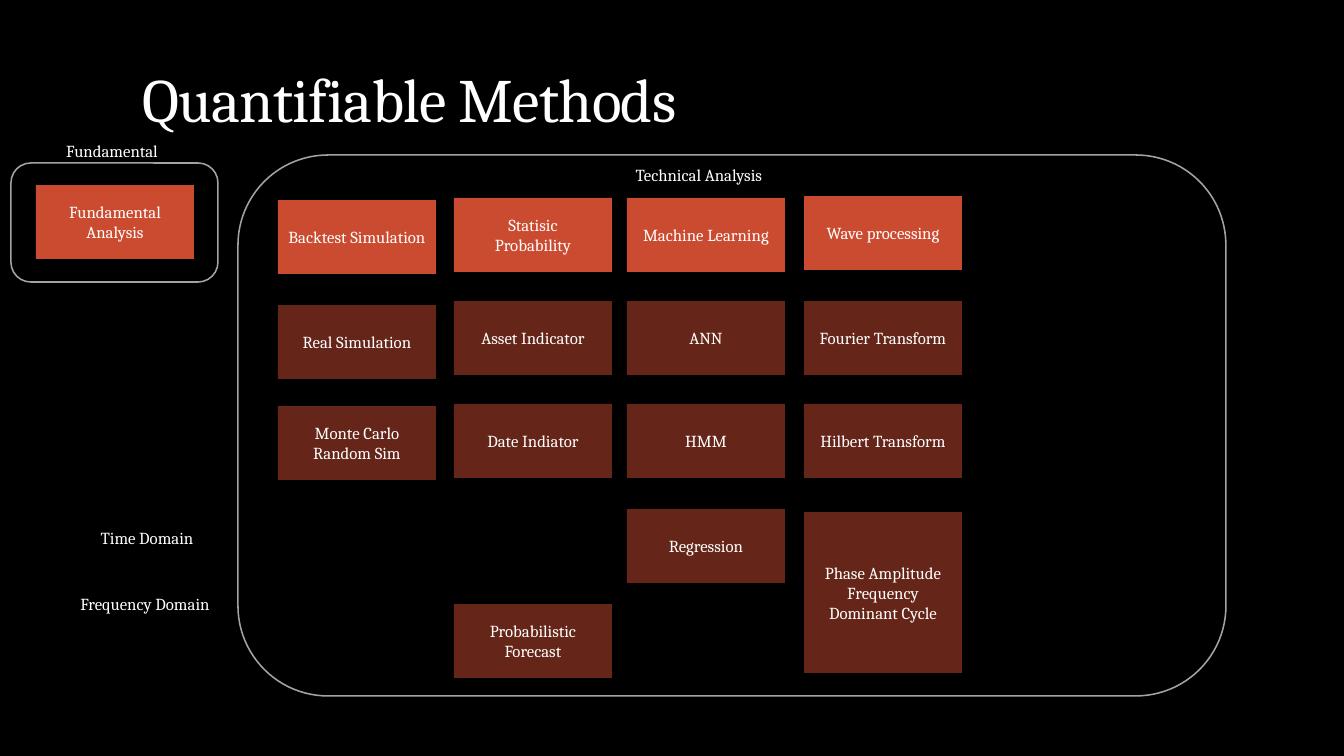
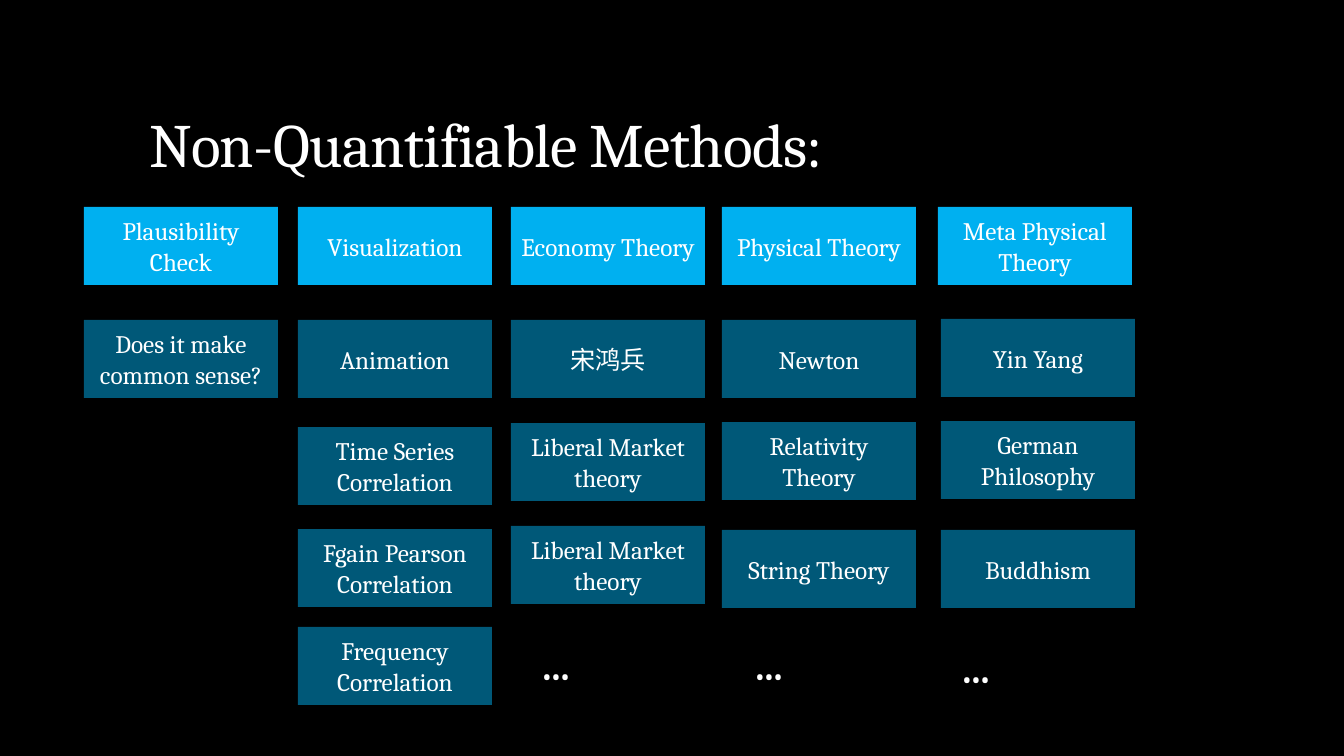
"""Build two slides that chart quantifiable and non-quantifiable methods."""
from dataclasses import dataclass

from lxml import etree
from pptx import Presentation
from pptx import util as u
from pptx.dml.color import RGBColor
from pptx.enum import shapes, text
from pptx.oxml.ns import qn


@dataclass(frozen=True)
class Theme:
    font: str = "Cambria"
    back: RGBColor = RGBColor(0, 0, 0)
    ink: RGBColor = RGBColor(255, 255, 255)
    frame: RGBColor = RGBColor(0xA3, 0xA3, 0xA3)
    red: RGBColor = RGBColor(0xCB, 0x4B, 0x30)
    blue: RGBColor = RGBColor(0x00, 0xB0, 0xF0)
    title: int = 44
    dots: int = 28
    large: int = 18
    small: int = 12


theme = Theme()
SCALE = 914400 / 100.8
CENTER, LEFT = text.PP_ALIGN.CENTER, text.PP_ALIGN.LEFT
MIDDLE, BOTTOM, TOP = (text.MSO_ANCHOR.MIDDLE, text.MSO_ANCHOR.BOTTOM,
                       text.MSO_ANCHOR.TOP)


def place(*pixels):
    return [u.Emu(round(pixel * SCALE)) for pixel in pixels]


def write(box, words, size, align=CENTER, anchor=MIDDLE, bold=False):
    frame = box.text_frame
    frame.word_wrap = True
    frame.auto_size = text.MSO_AUTO_SIZE.NONE
    frame.vertical_anchor = anchor
    for index, line in enumerate(words.split("\n")):
        para = frame.add_paragraph() if index else frame.paragraphs[0]
        para.alignment = align
        span = para.add_run()
        span.text = line
        span.font.name = theme.font
        span.font.size = u.Pt(size)
        span.font.bold = bold
        span.font.color.rgb = theme.ink
    return para


quantifiable = {
    "title": ("Quantifiable Methods", 132, -5),
    "color": theme.red, "size": theme.small, "cell": (158, 74),
    "headers": [
        (36, 185, "Fundamental Analysis"),
        (278, 200, "Backtest Simulation"),
        (454, 198, "Statisic\nProbability"),
        (627, 198, "Machine Learning"),
        (804, 196, "Wave processing"),
    ],
    "columns": {
        278: [(305, "Real Simulation"), (406, "Monte Carlo Random Sim")],
        454: [(301, "Asset Indicator"), (404, "Date Indiator"),
              (604, "Probabilistic Forecast")],
        627: [(301, "ANN"), (404, "HMM"), (509, "Regression")],
        804: [(301, "Fourier Transform"), (404, "Hilbert Transform"),
              (512, "Phase Amplitude\nFrequency Dominant Cycle", 161)],
    },
    "frames": [(11, 163, 207, 119), (238, 155, 988, 541)],
    "labels": [
        (21, 136, 182, "Fundamental"),
        (467, 160, 464, "Technical Analysis"),
        (-85, 523, 464, "Time Domain"),
        (-87, 589, 464, "Frequency Domain"),
    ],
    "dots": [],
}
non_quantifiable = {
    "title": ("Non-Quantifiable Methods:", 139, 40),
    "color": theme.blue, "size": theme.large, "cell": (194, 78),
    "headers": [
        (84, 207, "Plausibility Check"),
        (298, 207, "Visualization"),
        (511, 207, "Economy Theory"),
        (722, 207, "Physical Theory"),
        (938, 207, "Meta Physical\nTheory"),
    ],
    "columns": {
        84: [(320, "Does it make common sense?")],
        298: [(320, "Animation"), (427, "Time Series Correlation"),
              (529, "Fgain Pearson Correlation"),
              (627, "Frequency Correlation")],
        511: [(320, "宋鸿兵"), (423, "Liberal Market theory"),
              (526, "Liberal Market theory")],
        722: [(320, "Newton"), (422, "Relativity Theory"),
              (530, "String Theory")],
        941: [(319, "Yin Yang"), (421, "German Philosophy"),
              (530, "Buddhism")],
    },
    "frames": [],
    "labels": [],
    "dots": [(531, 636), (744, 636), (951, 639)],
}

deck = Presentation()
deck.slide_width, deck.slide_height = place(1344, 756)
backdrop = deck.slide_master.background.fill
backdrop.solid()
backdrop.fore_color.rgb = theme.back

for topic in (quantifiable, non_quantifiable):
    page = deck.slides.add_slide(deck.slide_layouts[5])
    heading, left, top = topic["title"]
    title = page.shapes.title
    title.left, title.top, title.width, title.height = place(left, top, 1069, 146)
    para = write(title, heading, theme.title, LEFT, BOTTOM)
    para.line_spacing = 0.9
    para.runs[0].font._element.set("spc", "-50")

    width, height = topic["cell"]
    cells = [(*header, height, False) for header in topic["headers"]]
    for left, column in topic["columns"].items():
        for top, words, *tall in column:
            cells.append((left, top, words, tall[0] if tall else height, True))

    for left, top, words, tallness, faded in cells:
        box = page.shapes.add_shape(shapes.MSO_SHAPE.RECTANGLE,
                                    *place(left, top, width, tallness))
        box.shadow.inherit = False
        box.line.fill.background()
        box.fill.solid()
        box.fill.fore_color.rgb = topic["color"]
        if faded:
            tint = box._element.spPr.find(qn("a:solidFill"))[0]
            etree.SubElement(tint, qn("a:alpha")).set("val", "50000")
        write(box, words, topic["size"])

    for bounds in topic["frames"]:
        border = page.shapes.add_shape(shapes.MSO_SHAPE.ROUNDED_RECTANGLE,
                                       *place(*bounds))
        border.shadow.inherit = False
        border.fill.background()
        border.line.color.rgb = theme.frame
        border.line.width = u.Pt(1.1)

    for left, top, width, words in topic["labels"]:
        label = page.shapes.add_textbox(*place(left, top, width, 30))
        write(label, words, theme.small, anchor=TOP)

    for left, top in topic["dots"]:
        label = page.shapes.add_textbox(*place(left, top, 88, 57))
        write(label, "…", theme.dots, LEFT, TOP, True)

deck.save("out.pptx")
